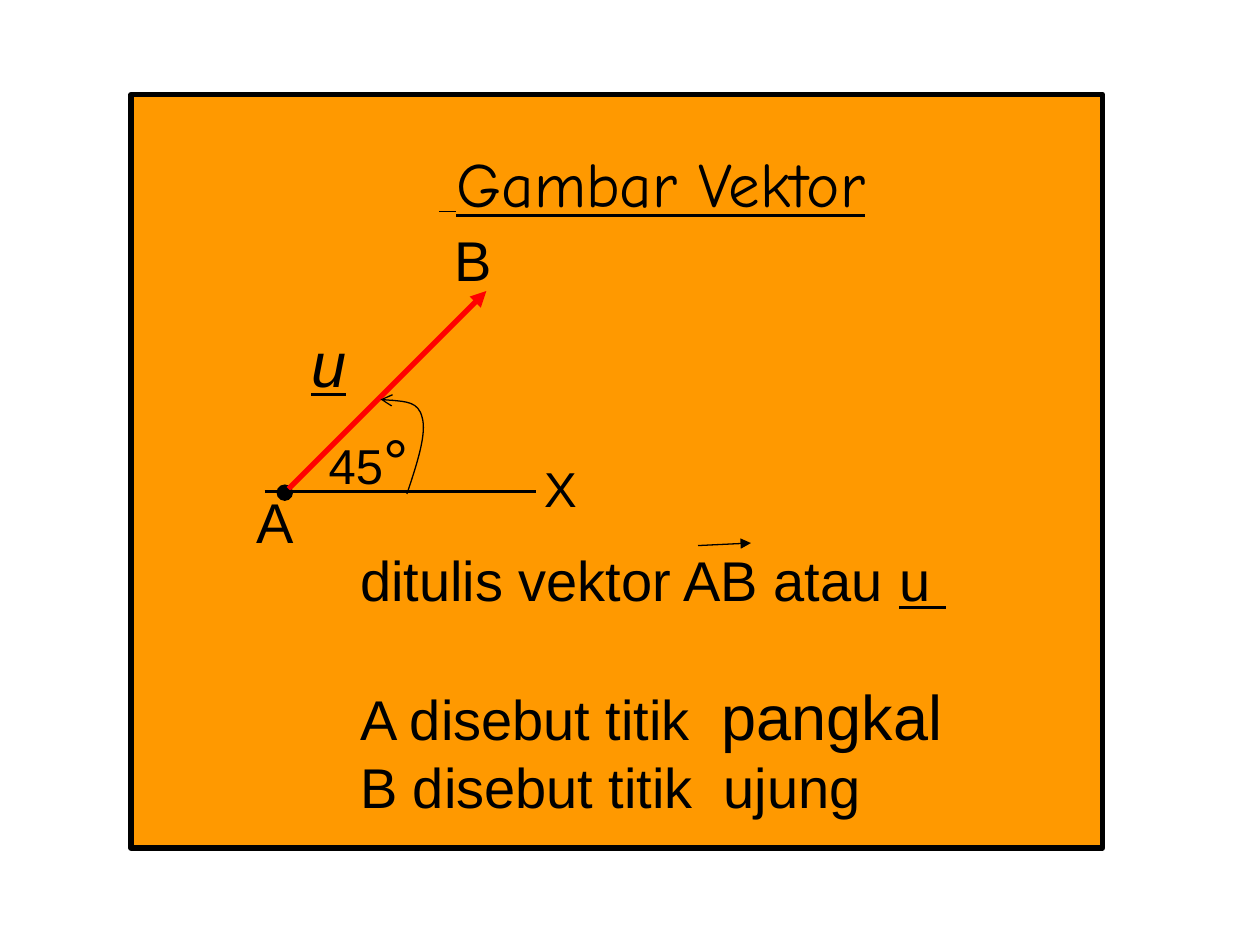
from lxml.etree import SubElement
from pptx import Presentation
from pptx.dml.color import RGBColor
from pptx.enum.shapes import MSO_CONNECTOR, MSO_SHAPE
from pptx.enum.text import MSO_ANCHOR, MSO_AUTO_SIZE, PP_ALIGN
from pptx.oxml.ns import qn
from pptx.util import Inches, Pt

COLORS = {"ink": "000000", "panel": "FF9900", "vector": "FF0000"}


def rgb(name):
    return RGBColor.from_string(COLORS[name])


class VectorSlide:
    font = "Arial"

    def __init__(self, deck):
        self.page = deck.slides.add_slide(deck.slide_layouts[5])
        self.shapes = self.page.shapes

    def style_line(self, shape, color, width, head=None, tail=None):
        shape.line.color.rgb = rgb(color)
        shape.line.width = Pt(width)
        outline = shape.element.spPr.find(qn("a:ln"))
        for end, kind in (("a:headEnd", head), ("a:tailEnd", tail)):
            if kind:
                SubElement(outline, qn(end), type=kind)

    def solid(self, kind, left, top, width, height, fill, line_width):
        shape = self.shapes.add_shape(
            kind, Inches(left), Inches(top), Inches(width), Inches(height))
        shape.shadow.inherit = False
        shape.fill.solid()
        shape.fill.fore_color.rgb = rgb(fill)
        self.style_line(shape, "ink", line_width)

    def line(self, start, end, color, width, tail=None):
        connector = self.shapes.add_connector(
            MSO_CONNECTOR.STRAIGHT, *map(Inches, start + end))
        self.style_line(connector, color, width, tail=tail)
        SubElement(connector.element.spPr, qn("a:effectLst"))

    def curve(self, points, color, width, head):
        """Draw cubic curves: a start point, then three points for each curve."""
        start, *rest = [(Inches(x), Inches(y)) for x, y in points]
        builder = self.shapes.build_freeform(*start)
        builder.add_line_segments(rest, close=False)
        shape = builder.convert_to_shape()
        segments = list(shape.element.iter(qn("a:lnTo")))
        for first in range(0, len(segments), 3):
            cubic = SubElement(segments[first].getparent(), qn("a:cubicBezTo"))
            for segment in segments[first:first + 3]:
                cubic.append(segment[0])
                segment.getparent().remove(segment)
        shape.shadow.inherit = False
        shape.fill.background()
        self.style_line(shape, color, width, head=head)

    def fill_para(self, para, spans, size, font=None, align=PP_ALIGN.LEFT):
        """Fill a paragraph with spans of (text, font settings that differ)."""
        para.alignment = align
        para.font.name = font or self.font
        para.font.size = Pt(size)
        para.font.color.rgb = rgb("ink")
        for text, changes in spans:
            span = para.add_run()
            span.text = text
            if "name" in changes:
                span.font.name = changes["name"]
            if "size" in changes:
                span.font.size = Pt(changes["size"])
            span.font.italic = changes.get("italic")
            span.font.underline = changes.get("underline")

    def text(self, left, top, width, height):
        box = self.shapes.add_textbox(
            Inches(left), Inches(top), Inches(width), Inches(height))
        box.text_frame.word_wrap = True
        return box.text_frame

    def label(self, left, top, spans, size, width=0.79):
        frame = self.text(left, top, width, 0.64)
        self.fill_para(frame.paragraphs[0], spans, size)

    def body(self, left, top, width, height, lines, size):
        frame = self.text(left, top, width, height)
        for index, (spans, space) in enumerate(lines):
            para = frame.add_paragraph() if index else frame.paragraphs[0]
            para.space_before = Pt(space)
            self.fill_para(para, spans, size, align=PP_ALIGN.JUSTIFY)

    def title(self, left, top, width, height, spans, size, font):
        title = self.shapes.title
        title.left, title.top = Inches(left), Inches(top)
        title.width, title.height = Inches(width), Inches(height)
        frame = title.text_frame
        frame.word_wrap = True
        frame.auto_size = MSO_AUTO_SIZE.NONE
        frame.vertical_anchor = MSO_ANCHOR.TOP
        self.fill_para(frame.paragraphs[0], spans, size, font, PP_ALIGN.CENTER)
        # The placeholder comes first in the tree; bring it above the panel.
        title.element.getparent().append(title.element)


def main():
    deck = Presentation()
    deck.slide_width, deck.slide_height = Inches(10), Inches(7.5)
    slide = VectorSlide(deck)
    underlined = {"underline": True}

    slide.solid(MSO_SHAPE.RECTANGLE, 1.04, 0.75, 7.71, 5.98, "panel", 3)
    slide.title(2.31, 1.1, 5.73, 0.7, [
        ("  ", {"name": "Arial", "size": 18, **underlined}),
        ("Gambar Vektor", underlined),
    ], 36, "Comic Neue")

    slide.solid(MSO_SHAPE.OVAL, 2.2, 3.85, 0.12, 0.12, "ink", 0.75)
    slide.line((2.29, 3.88), (3.86, 2.31), "vector", 3, "triangle")
    slide.line((2.1, 3.9), (4.25, 3.9), "ink", 1.5)
    slide.curve([(3.02, 3.17), (3.17, 3.18), (3.32, 3.19), (3.35, 3.31),
                 (3.39, 3.44), (3.31, 3.68), (3.23, 3.92)],
                "ink", 0.75, "arrow")

    slide.label(1.94, 3.82, [("A", {})], 32)
    slide.label(3.51, 1.74, [("B", {})], 32)
    slide.label(2.37, 2.53, [("u", {"italic": True, **underlined})], 36)
    slide.label(2.51, 3.3, [("45", {}), ("°", {"size": 36})], 28, 0.97)
    slide.label(4.22, 3.59, [("X", {})], 28)

    slide.body(2.76, 4.28, 5.24, 2.3, [
        ([("ditulis vektor AB atau ", {}), ("u ", underlined)], 0),
        ([("A disebut titik  ", {}), ("pangkal", {"size": 36})], 37),
        ([("B disebut titik  ujung", {})], 0),
    ], 32)
    slide.line((5.54, 4.33), (5.96, 4.31), "ink", 0.75, "triangle")

    deck.save("out.pptx")


if __name__ == "__main__":
    main()
